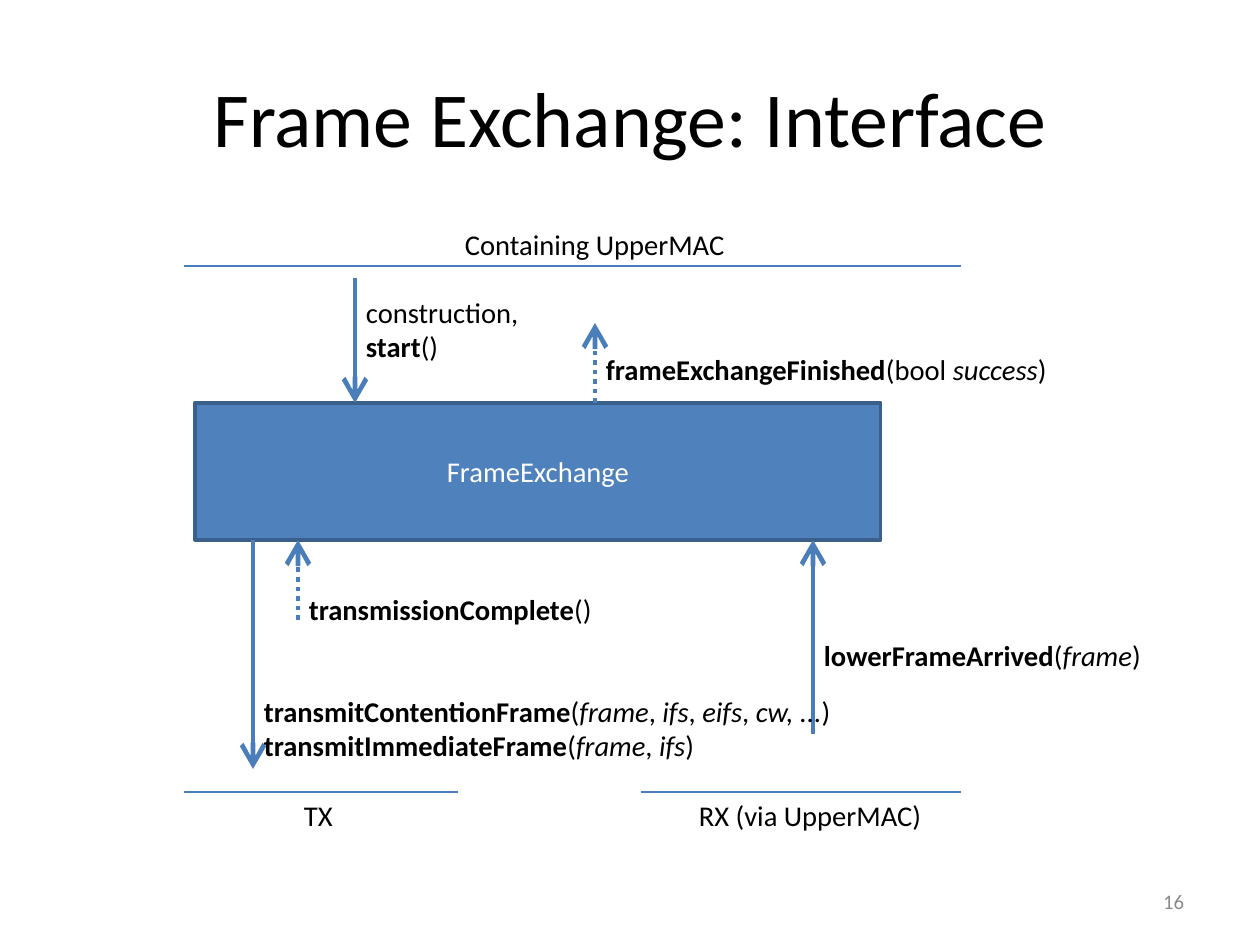
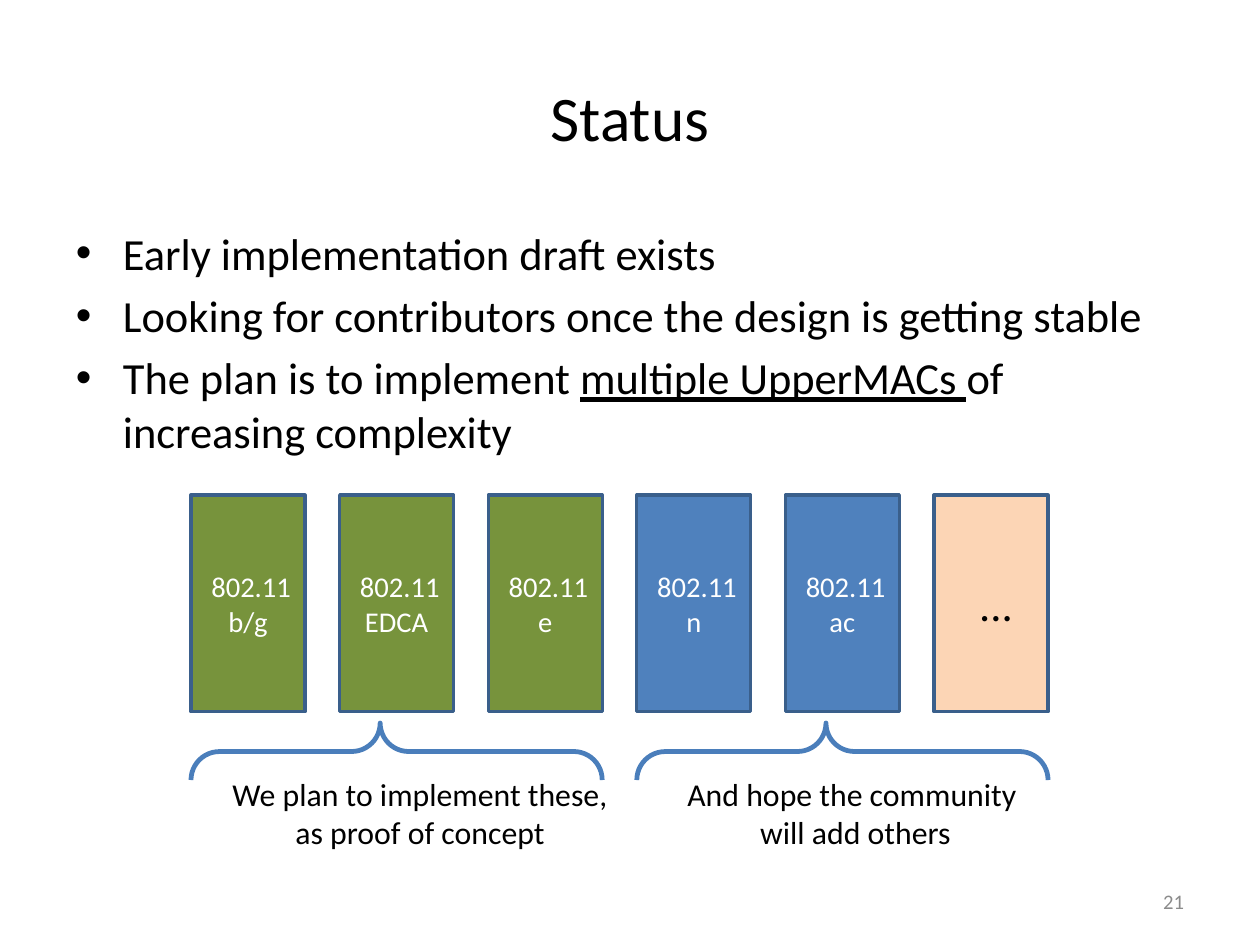
from lxml.etree import SubElement
from pptx import Presentation
from pptx.dml.color import RGBColor
from pptx.enum.dml import MSO_LINE
from pptx.enum.shapes import MSO_CONNECTOR, MSO_SHAPE
from pptx.enum.text import MSO_ANCHOR, MSO_AUTO_SIZE, PP_ALIGN
from pptx.oxml.ns import qn
from pptx.util import Pt

EMU_PER_PX = 8000
FONT = "Calibri"
BLACK, WHITE, GRAY = "000000", "FFFFFF", "8B8B8B"
BLUE, GREEN, PEACH = "4F81BD", "77933C", "FCD5B5"
EDGE, STROKE = "3A5F8B", "4A7EBB"
BOLD, ITALIC, UNDERLINE = {"bold": True}, {"italic": True}, {"underline": True}
WIDE_INSETS = (13, 6)


def px(n):
    return int(n * EMU_PER_PX)


def rgb(value):
    return RGBColor.from_string(value)


def apply(obj, values):
    for name, value in values.items():
        setattr(obj, name, value)


def write(tf, paragraphs, size=18, color=BLACK, align=PP_ALIGN.LEFT,
          anchor=MSO_ANCHOR.TOP, wrap=True, insets=(11, 6)):
    """Fill a frame; a paragraph lists runs, each a string or (string, style)."""
    dx, dy = map(px, insets)
    apply(tf, {"word_wrap": wrap, "vertical_anchor": anchor,
               "margin_left": dx, "margin_right": dx,
               "margin_top": dy, "margin_bottom": dy})
    for i, runs in enumerate(paragraphs):
        p = tf.add_paragraph() if i else tf.paragraphs[0]
        p.alignment = align
        for item in runs:
            text, style = (item, {}) if isinstance(item, str) else item
            for j, line in enumerate(text.split("\n")):
                if j:
                    p.add_line_break()
                if line:
                    r = p.add_run()
                    r.text = line
                    apply(r.font, {"name": FONT, "size": Pt(size), **style})
                    r.font.color.rgb = rgb(color)


def add_text(s, at, paragraphs, grow=False, **fmt):
    tf = s.shapes.add_textbox(*map(px, at)).text_frame
    write(tf, paragraphs, **fmt)
    if grow:
        tf.auto_size = MSO_AUTO_SIZE.SHAPE_TO_FIT_TEXT
    return tf


def add_label(s, at, *paragraphs, **fmt):
    add_text(s, at, paragraphs, grow=True, **fmt)


def add_box(s, at, text, fill, **fmt):
    sp = s.shapes.add_shape(MSO_SHAPE.RECTANGLE, *map(px, at))
    sp.shadow.inherit = False
    sp.fill.solid()
    sp.fill.fore_color.rgb = rgb(fill)
    sp.line.color.rgb = rgb(EDGE)
    sp.line.width = Pt(2)
    write(sp.text_frame, [[text]], **{"color": WHITE, "align": PP_ALIGN.CENTER,
                                      "anchor": MSO_ANCHOR.MIDDLE, **fmt})


def add_line(s, start, end, width=0.75, arrow=False, dotted=False):
    line = s.shapes.add_connector(MSO_CONNECTOR.STRAIGHT, *map(px, start + end))
    line.line.color.rgb = rgb(STROKE)
    line.line.width = Pt(width)
    if dotted:
        line.line.dash_style = MSO_LINE.ROUND_DOT
    spPr = line._element.spPr
    if arrow:
        SubElement(spPr.find(qn("a:ln")), qn("a:tailEnd"),
                   type="arrow", w="lg", len="lg")
    SubElement(spPr, qn("a:effectLst"))


def add_arrow(s, x, y1, y2, dotted=False):
    add_line(s, (x, y1), (x, y2), width=3, arrow=True, dotted=dotted)


def add_brace(s, left, top, span, depth=57):
    """Brace that opens downwards over span: a left brace turned a quarter."""
    x, y = left + (span - depth) / 2, top + (depth - span) / 2
    sp = s.shapes.add_shape(MSO_SHAPE.LEFT_BRACE, *map(px, (x, y, depth, span)))
    sp.shadow.inherit = False
    sp.rotation = 90
    sp.adjustments[0], sp.adjustments[1] = 0.5, 0.54
    sp.fill.background()
    sp.line.color.rgb = rgb(STROKE)
    sp.line.width = Pt(3)


def add_bullets(s, at, paragraphs, size):
    tf = add_text(s, at, paragraphs, size=size, insets=WIDE_INSETS)
    for p in tf.paragraphs:
        p.space_before = Pt(5.6)
        pPr = p._p.get_or_add_pPr()
        pPr.set("marL", str(px(47)))
        pPr.set("indent", str(-px(47)))
        SubElement(pPr, qn("a:buFont"), typeface="Arial")
        SubElement(pPr, qn("a:buChar"), char="•")


def new_slide(prs, title, number, title_size):
    s = prs.slides.add_slide(prs.slide_layouts[6])
    shared = {"anchor": MSO_ANCHOR.MIDDLE, "insets": WIDE_INSETS}
    add_text(s, (63, 38, 1134, 157), [[title]], size=title_size,
             align=PP_ALIGN.CENTER, **shared)
    add_text(s, (903, 876, 294, 50), [[number]], size=13, color=GRAY,
             align=PP_ALIGN.RIGHT, **shared)
    return s


def interface_slide(prs):
    s = new_slide(prs, "Frame Exchange: Interface", "16", 49)
    left, top, width, height = box = 195, 403, 686, 137
    bottom = top + height
    add_box(s, box, "FrameExchange", BLUE)

    for x1, x2, y in ((184, 961, 266), (184, 458, 792), (641, 961, 792)):
        add_line(s, (x1, y), (x2, y))
    for at, text in (((454, 221, 286, 46), "Containing UpperMAC"),
                     ((293, 792, 54, 46), "TX"),
                     ((688, 792, 250, 46), "RX (via UpperMAC)")):
        add_label(s, at, [text], wrap=False)

    start_x, finished_x, transmit_x, complete_x, arrived_x = 355, 595, 253, 298, 813
    add_arrow(s, start_x, 278, top)
    add_arrow(s, finished_x, top, 323, dotted=True)
    add_arrow(s, transmit_x, bottom, 769)
    add_arrow(s, complete_x, 620, bottom, dotted=True)
    add_arrow(s, arrived_x, 734, bottom)

    frame, ifs = ("frame", ITALIC), ("ifs", ITALIC)
    add_label(s, (start_x, 289, 217, 80),
              ["construction, \n", ("start", BOLD), "()"])
    add_label(s, (finished_x, 346, 503, 46),
              [("frameExchangeFinished", BOLD), "(bool ", ("success", ITALIC), ")"])
    add_label(s, (transmit_x, 688, 605, 80),
              [("transmitContentionFrame", BOLD), "(", frame, ", ", ifs, ", ",
               ("eifs", ITALIC), ", ", ("cw, ...", ITALIC), ")"],
              [("transmitImmediateFrame", BOLD), "(", frame, ", ", ifs, ")"])
    add_label(s, (complete_x, 586, 320, 46), [("transmissionComplete", BOLD), "()"])
    add_label(s, (arrived_x, 632, 354, 46),
              [("lowerFrameArrived", BOLD), "(", frame, ")"])


def status_slide(prs):
    s = new_slide(prs, "Status", "21", 40)
    add_bullets(s, (63, 220, 1134, 263), [
        ["Early implementation draft exists"],
        ["Looking for contributors once the design is getting stable"],
        ["The plan is to implement ", ("multiple UpperMACs ", UNDERLINE),
         "of increasing complexity"],
    ], size=28)

    more = {"size": 28, "color": BLACK}
    cards = [(" 802.11\nb/g", GREEN, {}), (" 802.11\nEDCA", GREEN, {}),
             (" 802.11\ne", GREEN, {}), (" 802.11\nn", BLUE, {}),
             (" 802.11\nac", BLUE, {}), (" ...", PEACH, more)]
    left, right, width = 191, 1048, 114
    pitch = (right - left - width) / (len(cards) - 1)
    for i, (text, fill, fmt) in enumerate(cards):
        add_box(s, (left + i * pitch, 495, width, 217), text, fill, **fmt)

    for i in (0, 3):
        add_brace(s, left + i * pitch, 723, 2 * pitch + width)
    for at, text in (((219, 769, 402, 88), "We plan to implement these,\nas proof of concept"),
                     ((674, 769, 363, 88), "And hope the community \nwill add others")):
        add_label(s, at, [text], size=20, align=PP_ALIGN.CENTER, wrap=False)


def main():
    prs = Presentation()
    prs.slide_width = px(1260)
    prs.slide_height = px(945)
    interface_slide(prs)
    status_slide(prs)
    prs.save("out.pptx")


if __name__ == "__main__":
    main()
